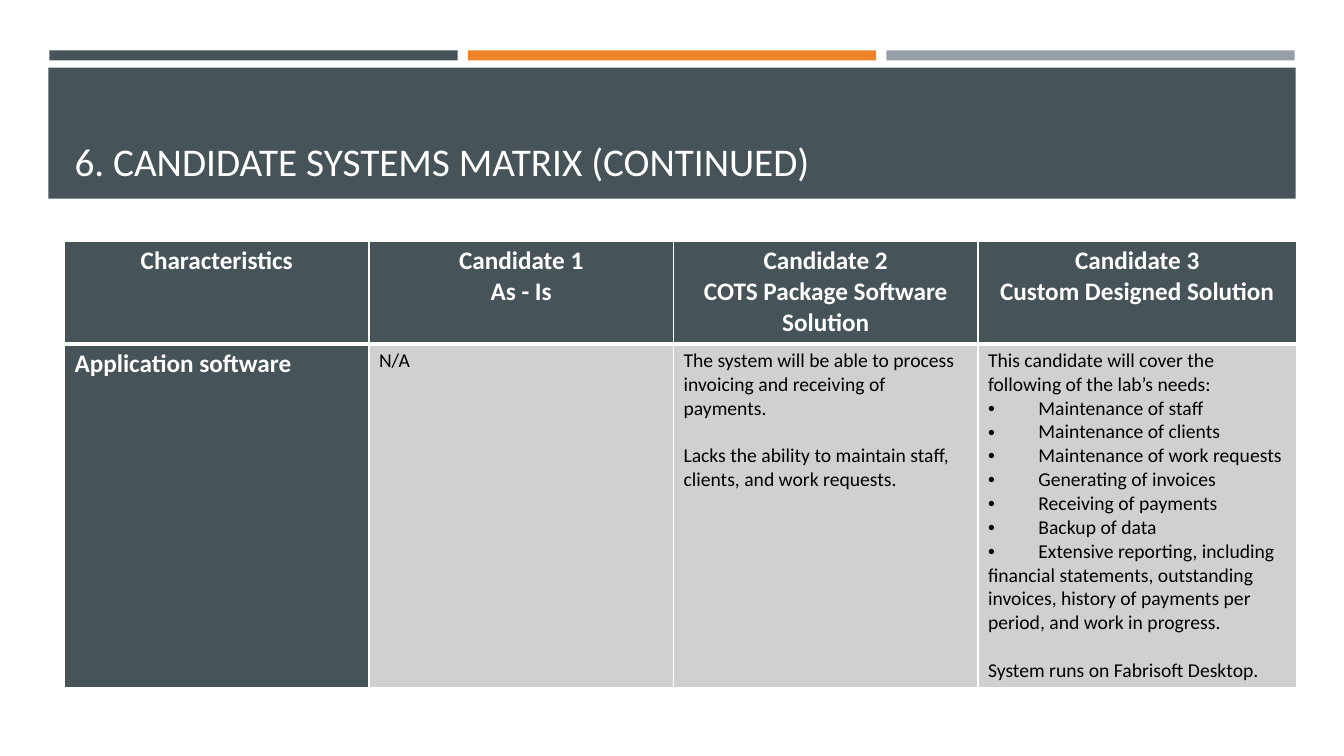
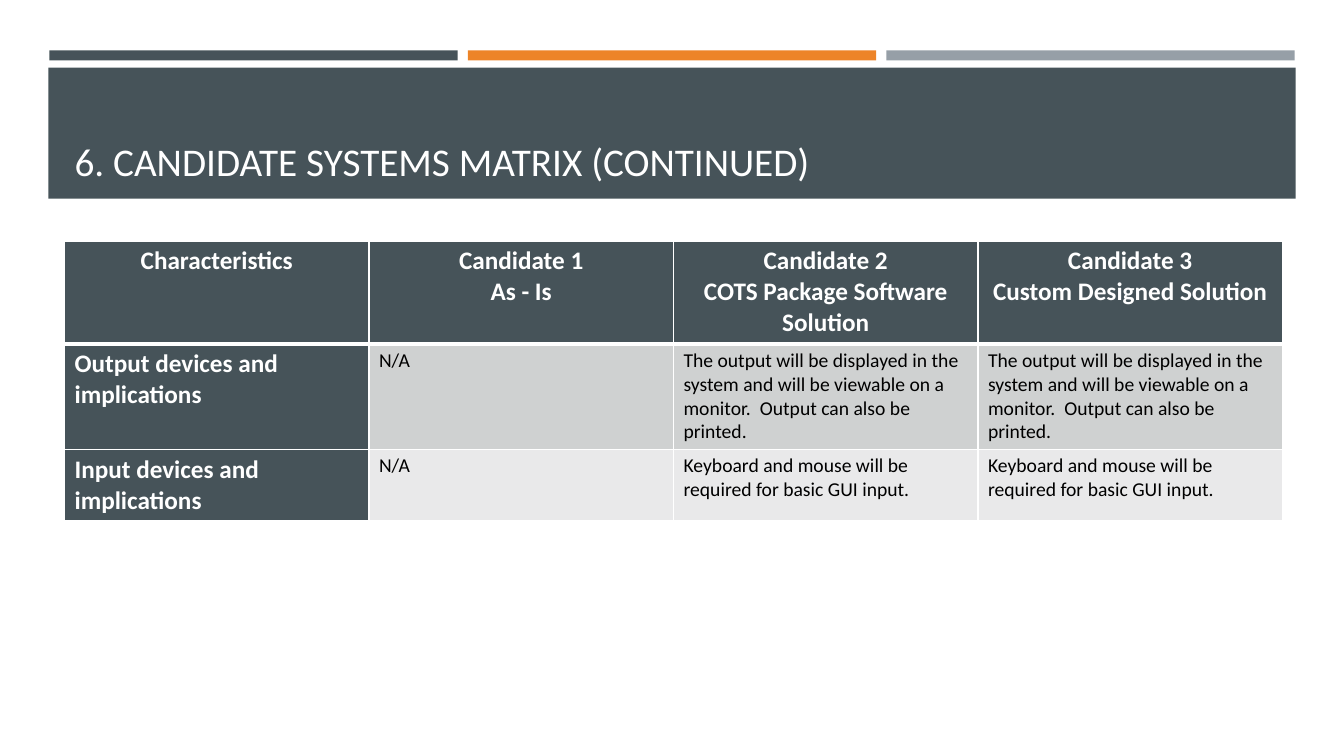
from collections import namedtuple

from lxml import etree
from pptx import Presentation
from pptx.dml.color import RGBColor
from pptx.enum.shapes import MSO_SHAPE
from pptx.enum.text import MSO_ANCHOR, PP_ALIGN
from pptx.oxml.ns import qn
from pptx.util import Inches, Pt

RECTANGLE = MSO_SHAPE.RECTANGLE
BOTTOM = MSO_ANCHOR.BOTTOM
LEFT, CENTER = PP_ALIGN.LEFT, PP_ALIGN.CENTER

FONT = "Calibri"
COLORS = {
    "slate": "465359",
    "orange": "ED8428",
    "gray": "969FA7",
    "odd_row": "CFD1D1",
    "even_row": "E9E9EA",
    "white": "FFFFFF",
    "black": "000000",
}
TITLE = "6. CANDIDATE SYSTEMS MATRIX (CONTINUED)"
HEADINGS = [
    ["Characteristics"],
    ["Candidate 1", "As - Is"],
    ["Candidate 2", "COTS Package Software Solution"],
    ["Candidate 3", "Custom Designed Solution"],
]
HEADING_HEIGHT = 1.02
COLUMN_WIDTH = 3.02
BULLET_TAB = 0.5
PARAGRAPH_GAP = 17

Line = namedtuple("Line", "text bullet gap", defaults=(False, 0))

COTS_SOFTWARE = [
    Line("The system will be able to process invoicing and receiving of payments."),
    Line("Lacks the ability to maintain staff, clients, and work requests.", gap=PARAGRAPH_GAP),
]
CUSTOM_FEATURES = [
    "Maintenance of staff",
    "Maintenance of clients",
    "Maintenance of work requests",
    "Generating of invoices",
    "Receiving of payments",
    "Backup of data",
    "Extensive reporting, including financial statements, outstanding invoices, "
    "history of payments per period, and work in progress.",
]
CUSTOM_SOFTWARE = [
    Line("This candidate will cover the following of the lab’s needs:"),
    *[Line(feature, bullet=True) for feature in CUSTOM_FEATURES],
    Line("System runs on Fabrisoft Desktop.", gap=PARAGRAPH_GAP),
]
OUTPUT = [
    "The output will be displayed in the system and will be viewable on a monitor.  "
    "Output can also be printed."
]
INPUT = ["Keyboard and mouse will be required for basic GUI input."]


def rgb(name):
    """Return the named colour."""
    return RGBColor.from_string(COLORS[name])


def add_bullet(para):
    """Give a paragraph a bullet followed by a tab, with wrapped lines flush left."""
    properties = para._p.get_or_add_pPr()
    properties.set("marL", "0")
    properties.set("indent", "0")
    etree.SubElement(properties, qn("a:buFont"), typeface="Arial")
    etree.SubElement(properties, qn("a:buChar"), char="•")
    tabs = etree.SubElement(properties, qn("a:tabLst"))
    etree.SubElement(tabs, qn("a:tab"), pos=str(Inches(BULLET_TAB)), algn="l")


def write_text(frame, lines, size=14, color="black", bold=False, align=LEFT):
    """Write strings or Lines as the formatted paragraphs of a text frame."""
    for index, entry in enumerate(lines):
        line = entry if isinstance(entry, Line) else Line(entry)
        para = frame.add_paragraph() if index else frame.paragraphs[0]
        para.alignment = align
        if line.gap:
            para.space_before = Pt(line.gap)
        if line.bullet:
            add_bullet(para)
        span = para.add_run()
        span.text = "\t" + line.text if line.bullet else line.text
        span.font.name = FONT
        span.font.size = Pt(size)
        span.font.bold = bold
        span.font.color.rgb = rgb(color)


def add_band(page, left, top, width, height, color):
    """Draw a plain filled rectangle."""
    band = page.shapes.add_shape(
        RECTANGLE, Inches(left), Inches(top), Inches(width), Inches(height)
    )
    band.shadow.inherit = False
    band.fill.solid()
    band.fill.fore_color.rgb = rgb(color)
    band.line.fill.background()


def add_page(deck, title_text):
    """Add a slide with the shared bands and title."""
    page = deck.slides.add_slide(deck.slide_layouts[5])
    for index, color in enumerate(("slate", "orange", "gray")):
        add_band(page, 0.49 + index * 4.15, 0.5, 4.05, 0.1, color)
    add_band(page, 0.48, 0.67, 12.37, 1.3, "slate")
    title = page.shapes.title
    title.element.getparent().append(title.element)
    title.left, title.top = Inches(0.64), Inches(0.77)
    title.width, title.height = Inches(12.06), Inches(1.11)
    title.text_frame.word_wrap = True
    title.text_frame.vertical_anchor = BOTTOM
    write_text(title.text_frame, [title_text], size=28, color="white")
    return page


def add_borders(cell, top=1, bottom=1):
    """Give a cell white borders of the given weights."""
    properties = cell._tc.get_or_add_tcPr()
    for tag, weight in (("lnL", 1), ("lnR", 1), ("lnT", top), ("lnB", bottom)):
        border = etree.SubElement(properties, qn(f"a:{tag}"), w=str(Pt(weight)))
        fill = etree.SubElement(border, qn("a:solidFill"))
        etree.SubElement(fill, qn("a:srgbClr"), val=COLORS["white"])


def fill_cell(cell, lines, fill, top=1, bottom=1, **text_format):
    """Set the borders, fill and text of a cell."""
    add_borders(cell, top, bottom)
    cell.fill.solid()
    cell.fill.fore_color.rgb = rgb(fill)
    write_text(cell.text_frame, lines, **text_format)


def add_matrix(page, rows, row_heights, last_width=COLUMN_WIDTH):
    """Add the candidate table with its heading row and labelled body rows."""
    widths = [COLUMN_WIDTH] * (len(HEADINGS) - 1) + [last_width]
    heights = [HEADING_HEIGHT, *row_heights]
    table = page.shapes.add_table(
        len(heights), len(widths), Inches(0.64), Inches(2.39),
        Inches(sum(widths)), Inches(sum(heights)),
    ).table
    table.horz_banding = False
    for column, width in zip(table.columns, widths):
        column.width = Inches(width)
    for row, height in zip(table.rows, heights):
        row.height = Inches(height)
    label_format = {"fill": "slate", "size": 18, "color": "white", "bold": True}
    for column, heading in enumerate(HEADINGS):
        fill_cell(table.cell(0, column), heading, bottom=3, align=CENTER, **label_format)
    for number, (label, *answers) in enumerate(rows, start=1):
        top = 3 if number == 1 else 1
        fill_cell(table.cell(number, 0), label, top=top, **label_format)
        shade = "odd_row" if number % 2 else "even_row"
        for column, answer in enumerate(answers, start=1):
            fill_cell(table.cell(number, column), answer, shade, top=top)


def main():
    """Build and save the deck."""
    deck = Presentation()
    deck.slide_width, deck.slide_height = Inches(13.33), Inches(7.5)
    software_rows = [(["Application software"], ["N/A"], COTS_SOFTWARE, CUSTOM_SOFTWARE)]
    add_matrix(add_page(deck, TITLE), software_rows, [3.39], last_width=3.16)
    device_rows = [
        (["Output devices and implications"], ["N/A"], OUTPUT, OUTPUT),
        (["Input devices and implications"], ["N/A"], INPUT, INPUT),
    ]
    add_matrix(add_page(deck, TITLE), device_rows, [1.04, 0.7])
    deck.save("out.pptx")


if __name__ == "__main__":
    main()
